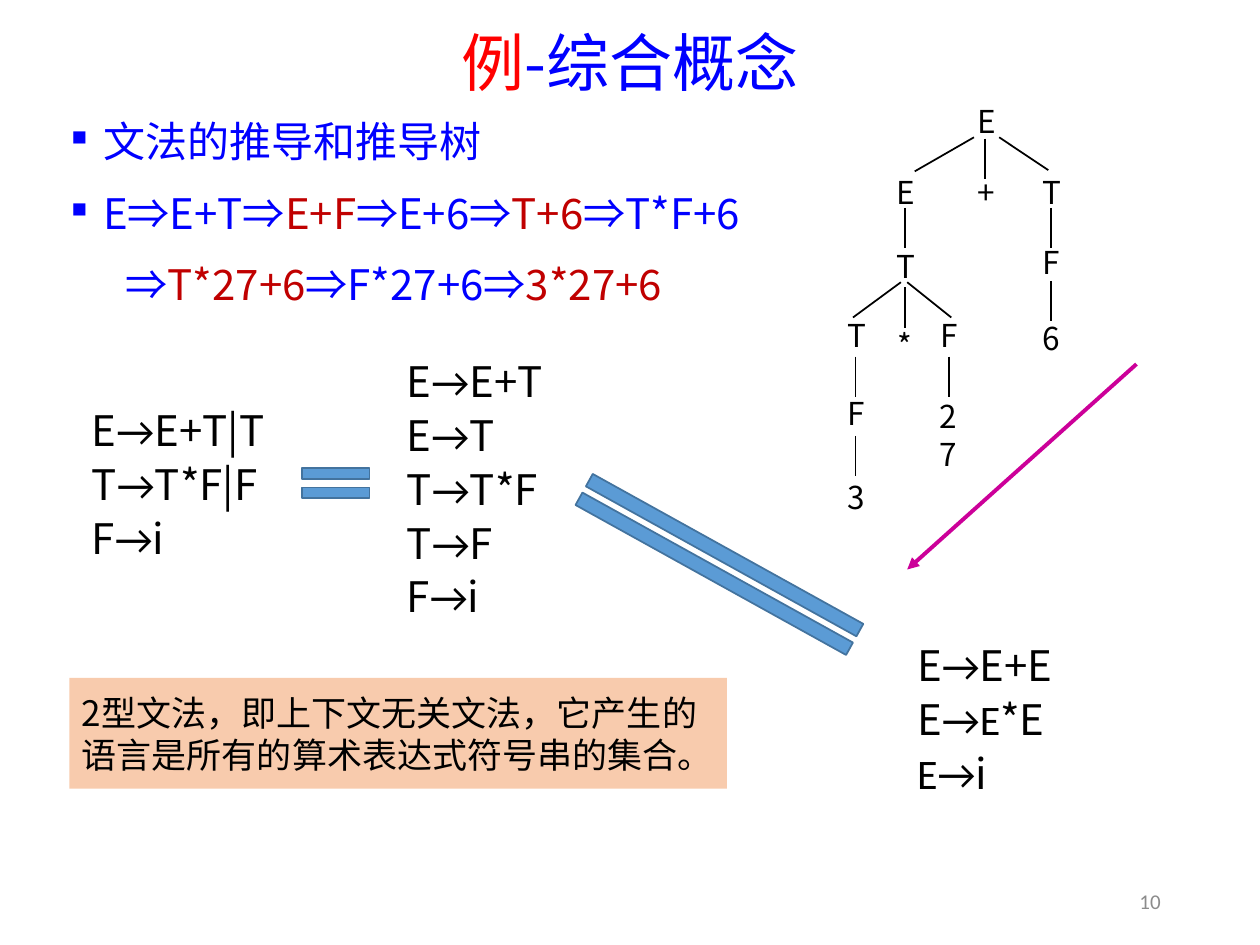
import dataclasses
import typing

import lxml.etree
import pptx
import pptx.dml.color
import pptx.enum.shapes
import pptx.enum.text
import pptx.oxml.ns
import pptx.util

COLORS = {
    "blue": "0000FF", "red": "FF0000", "dark red": "C00000", "black": "000000",
    "gray": "8C8C8C", "peach": "F8CBAD", "equal fill": "5B9BD5",
    "equal line": "43739E", "magenta": "CC0099",
}
CJK = "Noto Sans CJK SC"
TITLE_FONT = "Noto Sans CJK JP"
LATIN = "Calibri"
SLIDE_WIDTH, SLIDE_HEIGHT = pptx.util.Inches(10), pptx.util.Inches(7.5)
COLUMNS, ROWS = 100, 75
ALIGN = pptx.enum.text.PP_ALIGN
MIDDLE = pptx.enum.text.MSO_ANCHOR.MIDDLE
SHAPES = pptx.enum.shapes.MSO_SHAPE


@dataclasses.dataclass(frozen=True)
class Area:
    """A rectangle in grid columns and rows."""
    left: float
    top: float
    width: float
    height: float

    def lengths(self) -> tuple[int, int, int, int]:
        return column(self.left), row(self.top), column(self.width), row(self.height)


@dataclasses.dataclass(frozen=True)
class Span:
    text: str
    color: str = "black"
    font: str = CJK


@dataclasses.dataclass(frozen=True)
class Node:
    symbol: str
    center: float
    top: float


@dataclasses.dataclass(frozen=True)
class Equal:
    area: Area
    rotation: float = 0
    adjustments: tuple[float, ...] = ()


def column(count: float) -> int:
    return round(SLIDE_WIDTH * count / COLUMNS)


def row(count: float) -> int:
    return round(SLIDE_HEIGHT * count / ROWS)


def rgb(name: str) -> pptx.dml.color.RGBColor:
    return pptx.dml.color.RGBColor.from_string(COLORS[name])


def add_element(parent, tag: str, **attributes: str):
    return lxml.etree.SubElement(parent, pptx.oxml.ns.qn(tag), **attributes)


def write_paragraph(para, spans: typing.Sequence[Span], *, size: float, align=ALIGN.LEFT,
                    before: float = 0, after: float = 0, spacing: float | None = None) -> None:
    """Spacing is a share of the line height; without it lines are 1.2 times the size."""
    para.alignment = align
    para.space_before, para.space_after = pptx.util.Pt(before), pptx.util.Pt(after)
    para.line_spacing = spacing or pptx.util.Pt(1.2 * size)
    for span in spans:
        run = para.add_run()
        run.text = span.text
        run.font.size = pptx.util.Pt(size)
        run.font.name = span.font
        run.font.color.rgb = rgb(span.color)
        add_element(run._r.get_or_add_rPr(), "a:ea", typeface=span.font)


def write_lines(frame, lines: typing.Sequence[typing.Sequence[Span]], **text_format) -> None:
    for index, spans in enumerate(lines):
        para = frame.add_paragraph() if index else frame.paragraphs[0]
        write_paragraph(para, spans, **text_format)


def add_text(page, area: Area, lines, *, anchor=pptx.enum.text.MSO_ANCHOR.TOP, **text_format):
    box = page.shapes.add_textbox(*area.lengths())
    box.text_frame.word_wrap = True
    box.text_frame.vertical_anchor = anchor
    write_lines(box.text_frame, lines, **text_format)
    return box


def indent(para, margin: float, bullet: bool) -> None:
    """Hang the first line by 2.5 columns, with a square bullet if asked."""
    properties = para._p.get_or_add_pPr()
    properties.set("marL", str(column(margin)))
    properties.set("indent", str(-column(2.5)))
    if bullet:
        add_element(properties, "a:buSzPct", val="50000")
        add_element(properties, "a:buChar", char="■")


def add_line(page, start: tuple[float, float], end: tuple[float, float], *,
             color: str = "black", width: float = 1, arrow: bool = False) -> None:
    line = page.shapes.add_connector(
        pptx.enum.shapes.MSO_CONNECTOR.STRAIGHT,
        column(start[0]), row(start[1]), column(end[0]), row(end[1]))
    line.line.color.rgb = rgb(color)
    line.line.width = pptx.util.Pt(width)
    if arrow:
        add_element(line.line._get_or_add_ln(), "a:tailEnd", type="triangle")
    add_element(line._element.spPr, "a:effectLst")


def add_node(page, node: Node) -> None:
    width = 1.3 * len(node.symbol)
    area = Area(node.center - width / 2, node.top, width, 3)
    box = add_text(page, area, [[Span(node.symbol)]], size=18, align=ALIGN.CENTER)
    frame = box.text_frame
    frame.margin_left = frame.margin_right = frame.margin_top = frame.margin_bottom = 0
    frame.word_wrap = len(node.symbol) > 1
    frame.auto_size = pptx.enum.text.MSO_AUTO_SIZE.SHAPE_TO_FIT_TEXT


def add_filled(page, kind, area: Area, fill: str, line: str | None = None):
    shape = page.shapes.add_shape(kind, *area.lengths())
    shape.shadow.inherit = False
    shape.fill.solid()
    shape.fill.fore_color.rgb = rgb(fill)
    if line:
        shape.line.color.rgb = rgb(line)
        shape.line.width = pptx.util.Pt(1)
    else:
        shape.line.fill.background()
    return shape


def add_equal(page, equal: Equal) -> None:
    shape = add_filled(page, SHAPES.MATH_EQUAL, equal.area, "equal fill", "equal line")
    shape.rotation = equal.rotation
    for index, value in enumerate(equal.adjustments):
        shape.adjustments[index] = value


def rule(left: str, right: str, arrow: str = "→") -> list[Span]:
    """A production; the arrow part is set in the Latin font."""
    parts = (Span(left), Span(arrow, font=LATIN), Span(right))
    return [span for span in parts if span.text]


def derivation(*texts: str) -> list[Span]:
    """Steps that alternate between blue and dark red."""
    return [Span(text, ("blue", "dark red")[index % 2]) for index, text in enumerate(texts)]


DERIVATION = [
    derivation("文法的推导和推导树"),
    derivation("E⇒E+T⇒", "E+F", "⇒E+6⇒", "T+6", "⇒T*F+6"),
    derivation("⇒", "T*27+6", "⇒F*27+6⇒", "3*27+6"),
]
GRAMMARS = [
    (Area(6.3, 30.9, 15.7, 14.9), [rule("E", "E+T|T"), rule("T", "T*F|F"), rule("F", "i")]),
    (Area(31.3, 28, 14.7, 21.5), [rule("E", "E+T"), rule("E", "T"), rule("T", "T*F"),
                                  rule("T", "F"), rule("F", "i")]),
    (Area(71.8, 49.6, 15.7, 14.9), [rule("E", "E+E"), rule("E", "*E", "→E"),
                                    rule("", "i", "E→")]),
]
EQUALS = [Equal(Area(23, 35.5, 7.3, 5.7), adjustments=(0.15, 0.12)),
          Equal(Area(40.4, 42.4, 33.4, 4.8), rotation=29)]
NODES = [
    Node("E", 78.2, 8.1), Node("E", 71.8, 13.7), Node("+", 78.2, 13.7), Node("T", 83.4, 13.7),
    Node("T", 71.8, 19.6), Node("F", 83.4, 19.3), Node("6", 83.4, 25.3),
    Node("T", 67.9, 25.1), Node("*", 71.8, 25.9), Node("F", 75.3, 25.1),
    Node("F", 67.9, 31.3), Node("27", 75.3, 31.5), Node("3", 67.9, 37.9),
]
BRANCHES = [((77.3, 10.9), (72.6, 13.6)), ((79.3, 10.9), (83.2, 13.5)),
            ((71.5, 22.4), (67.7, 25.2)), ((72, 22.4), (75.5, 25.2))]
STEM_LENGTH = 3.2
STEMS = [(78.2, 11), (71.8, 16.5), (71.8, 22.8), (83.4, 16.5), (83.4, 22.3),
         (67.9, 28.3), (67.9, 34.6), (75.3, 28.3)]


def main() -> None:
    deck = pptx.Presentation()
    deck.slide_width, deck.slide_height = SLIDE_WIDTH, SLIDE_HEIGHT
    page = deck.slides.add_slide(deck.slide_layouts[5])

    title = page.shapes.title
    title.left, title.top, title.width, title.height = Area(6.9, 1.6, 86.2, 7.3).lengths()
    title.text_frame.vertical_anchor = MIDDLE
    heading = [Span("例", "red", TITLE_FONT), Span("-综合概念", "blue", TITLE_FONT)]
    write_lines(title.text_frame, [heading], size=36, align=ALIGN.CENTER, spacing=0.9)

    body = add_text(page, Area(4.7, 8.7, 61.3, 18.1), DERIVATION, size=24, before=6, after=6)
    for para, margin in zip(body.text_frame.paragraphs, (2.5, 2.5, 6.8)):
        indent(para, margin, bullet=margin == 2.5)

    for node in NODES:
        add_node(page, node)
    for start, end in BRANCHES:
        add_line(page, start, end)
    for center, top in STEMS:
        add_line(page, (center, top), (center, top + STEM_LENGTH))
    add_line(page, (90.2, 28.9), (72, 45.2), color="magenta", width=2.25, arrow=True)

    for area, rules in GRAMMARS:
        add_text(page, area, rules, size=24, after=2, anchor=MIDDLE)
    for equal in EQUALS:
        add_equal(page, equal)

    note = add_filled(page, SHAPES.RECTANGLE, Area(5.5, 53.8, 52.2, 8.8), "peach")
    note.text_frame.word_wrap = True
    note.text_frame.vertical_anchor = MIDDLE
    remark = Span("2型文法，即上下文无关文法，它产生的语言是所有的算术表达式符号串的集合。")
    write_lines(note.text_frame, [[remark]], size=20, after=2)
    add_text(page, Area(70.6, 69.5, 22.5, 4), [[Span("10", "gray", LATIN)]],
             size=12, align=ALIGN.RIGHT, anchor=MIDDLE)
    deck.save("out.pptx")


if __name__ == "__main__":
    main()
